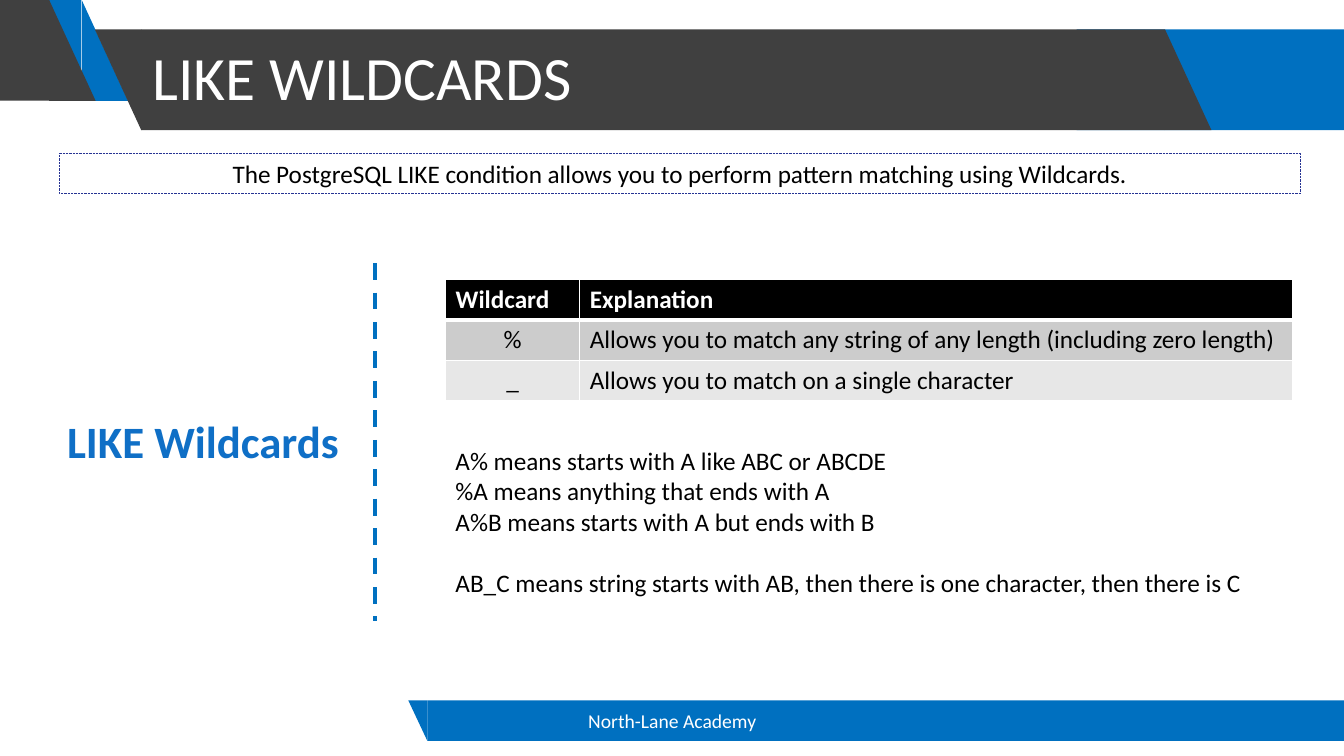
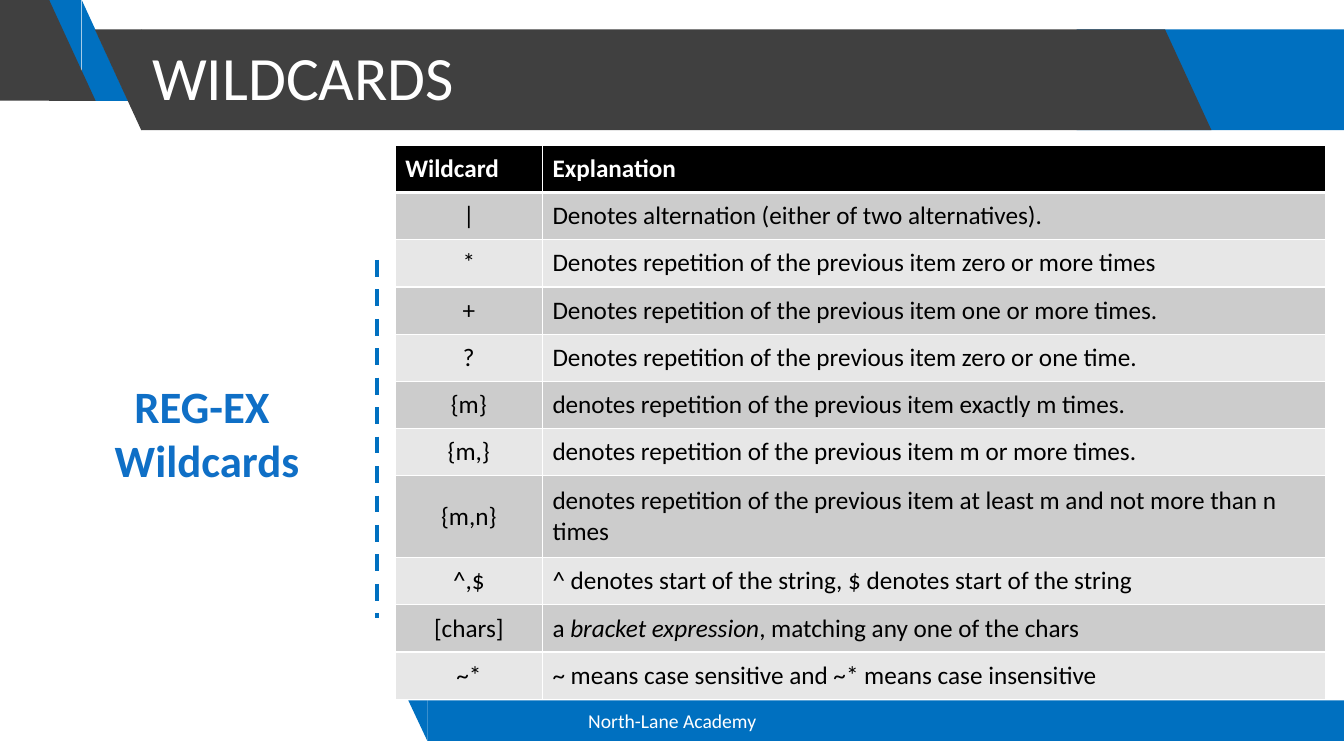
"""Build two slides about SQL wildcards."""
from dataclasses import dataclass

from lxml.etree import SubElement
from pptx import Presentation
from pptx.dml.color import RGBColor
from pptx.enum.dml import MSO_LINE
from pptx.enum.shapes import MSO_CONNECTOR, MSO_SHAPE
from pptx.enum.text import MSO_ANCHOR, MSO_AUTO_SIZE, PP_ALIGN
from pptx.oxml.ns import qn
from pptx.util import Cm, Pt


@dataclass(frozen=True)
class Theme:
    font: str = "Calibri"
    blue: str = "0070C0"
    dark: str = "404040"
    heading: str = "0F6FC6"
    outline: str = "263393"
    black: str = "000000"
    white: str = "FFFFFF"
    bands: tuple = ("CCCCCC", "E7E7E7")
    title_size: int = 44
    heading_size: int = 32
    body_size: int = 18
    footer_size: int = 14


SLIDE_WIDTH, SLIDE_HEIGHT = 33.87, 19.05
BAND_TOP, BAND_HEIGHT, SLANT = 0.74, 2.54, 1.17
FOOTER_TOP, FOOTER_HEIGHT = 17.65, 1.02
HEADER = ("Wildcard", "Explanation")

LIKE_ROWS = [
    ("%", "Allows you to match any string of any length (including zero length)"),
    ("_", "Allows you to match on a single character"),
]
LIKE_EXAMPLES = [
    "A% means starts with A like ABC or ABCDE",
    "%A means anything that ends with A",
    "A%B means starts with A but ends with B",
    "AB_C means string starts with AB, then there is one character, then there is C",
]
REGEX_ROWS = [
    ("|", "Denotes alternation (either of two alternatives)."),
    ("*", "Denotes repetition of the previous item zero or more times"),
    ("+", "Denotes repetition of the previous item one or more times."),
    ("?", "Denotes repetition of the previous item zero or one time."),
    ("{m}", "denotes repetition of the previous item exactly m times."),
    ("{m,}", "denotes repetition of the previous item m or more times."),
    ("{m,n}", "denotes repetition of the previous item at least m and not more than n times"),
    ("^,$", "^ denotes start of the string, $ denotes start of the string"),
    ("[chars]", ("a ", "bracket expression", ", matching any one of the chars")),
    ("~*", "~ means case sensitive and ~* means case insensitive"),
]


class Deck:
    """Hold the theme and the current slide, and draw each kind of element."""

    def __init__(self, theme):
        self.theme = theme
        self.presentation = Presentation()
        self.presentation.slide_width = Cm(SLIDE_WIDTH)
        self.presentation.slide_height = Cm(SLIDE_HEIGHT)
        self.layout = self.presentation.slide_layouts[5]
        self.slide = None

    def add_slide(self, title):
        """Start a slide with its title and footer label."""
        first = self.slide is None
        self.slide = self.presentation.slides.add_slide(self.layout)
        if first:
            self.frame()
        shape = self.slide.shapes.title
        shape.left, shape.top, shape.width, shape.height = map(Cm, (3.58, 0.18, 25.76, 3.68))
        self.set_text(shape.text_frame, [title], self.theme.title_size, self.theme.white,
                      anchor=MSO_ANCHOR.MIDDLE)
        shape.text_frame.auto_size = MSO_AUTO_SIZE.NONE
        shape.text_frame.paragraphs[0].line_spacing = 0.9
        self.text((11.23, FOOTER_TOP, 11.43, FOOTER_HEIGHT), ["North-Lane Academy"],
                  self.theme.footer_size, self.theme.white,
                  align=PP_ALIGN.CENTER, anchor=MSO_ANCHOR.MIDDLE)

    def frame(self):
        """Draw the title and footer bands once, on the layout."""
        blue, dark = self.theme.blue, self.theme.dark
        bar, slope = MSO_SHAPE.RECTANGLE, MSO_SHAPE.RIGHT_TRIANGLE
        pieces = [
            (bar, 27.13, BAND_TOP, SLIDE_WIDTH - 27.13, blue, 0),
            (slope, 2.06, 0, SLANT, blue, 0),
            (slope, 0.87, 0, SLANT, blue, 180),
            (bar, 0, 0, 1.24, dark, 0),
            (slope, 1.24, 0, SLANT, dark, 0),
            (slope, 2.39, BAND_TOP, SLANT, dark, 180),
            (bar, 3.56, BAND_TOP, 25.8, dark, 0),
            (slope, 29.36, BAND_TOP, SLANT, dark, 0),
            (bar, 10.77, FOOTER_TOP, SLIDE_WIDTH - 10.77, blue, 0),
            (slope, 10.29, FOOTER_TOP, 0.48, blue, 180),
        ]
        for kind, left, top, width, color, rotation in pieces:
            height = FOOTER_HEIGHT if top == FOOTER_TOP else BAND_HEIGHT
            shape = self.shape(kind, (left, top, width, height), color)
            shape.rotation = rotation
            self.layout.shapes.element.append(shape.element)

    def shape(self, kind, box, fill=None):
        """Add a preset shape without outline or shadow."""
        shape = self.slide.shapes.add_shape(kind, *map(Cm, box))
        shape.shadow.inherit = False
        shape.line.fill.background()
        if fill:
            shape.fill.solid()
            shape.fill.fore_color.rgb = RGBColor.from_string(fill)
        else:
            shape.fill.background()
        return shape

    def set_text(self, frame, lines, size, color, bold=False, align=PP_ALIGN.LEFT,
                 anchor=MSO_ANCHOR.TOP):
        """Fill a text frame; odd parts of a tuple line are italic."""
        frame.word_wrap = True
        frame.vertical_anchor = anchor
        for index, line in enumerate(lines):
            paragraph = frame.add_paragraph() if index else frame.paragraphs[0]
            paragraph.alignment = align
            parts = (line,) if isinstance(line, str) else line
            for position, part in enumerate(parts):
                run = paragraph.add_run()
                run.text = part
                run.font.name = self.theme.font
                run.font.size = Pt(size)
                run.font.bold = bold
                run.font.italic = position % 2 == 1
                run.font.color.rgb = RGBColor.from_string(color)

    def text(self, box, lines, size, color, **style):
        """Add a text box and return its frame."""
        frame = self.slide.shapes.add_textbox(*map(Cm, box)).text_frame
        self.set_text(frame, lines, size, color, **style)
        return frame

    def callout(self, box, line):
        """Add a dotted box with a centred statement."""
        shape = self.shape(MSO_SHAPE.RECTANGLE, box)
        shape.line.color.rgb = RGBColor.from_string(self.theme.outline)
        shape.line.width = Pt(0.5)
        shape.line.dash_style = MSO_LINE.ROUND_DOT
        self.set_text(shape.text_frame, [line], self.theme.body_size, self.theme.black,
                      align=PP_ALIGN.CENTER)

    def heading(self, box, lines):
        """Add the bold side heading."""
        self.text(box, lines, self.theme.heading_size, self.theme.heading, bold=True,
                  align=PP_ALIGN.CENTER)

    def divider(self, left, top, height):
        """Add a dashed vertical line."""
        line = self.slide.shapes.add_connector(
            MSO_CONNECTOR.STRAIGHT, Cm(left), Cm(top), Cm(left), Cm(top + height))
        line.line.color.rgb = RGBColor.from_string(self.theme.blue)
        line.line.width = Pt(3)
        line.line.dash_style = MSO_LINE.DASH
        SubElement(line.element.spPr, qn("a:effectLst"))

    def borders(self, cell, top, bottom):
        """Give a cell white borders, with top and bottom widths in points."""
        properties = cell._tc.get_or_add_tcPr()
        for side, width in (("L", 1), ("R", 1), ("T", top), ("B", bottom)):
            line = SubElement(properties, qn(f"a:ln{side}"), w=str(Pt(width)))
            fill = SubElement(line, qn("a:solidFill"))
            SubElement(fill, qn("a:srgbClr"), val=self.theme.white)

    def table(self, left, top, widths, heights, rows):
        """Add a table with a black header and banded rows."""
        rows = [HEADER, *rows]
        table = self.slide.shapes.add_table(
            len(rows), len(widths), Cm(left), Cm(top),
            Cm(sum(widths)), Cm(sum(heights))).table
        table.horz_banding = False
        for column, width in zip(table.columns, widths):
            column.width = Cm(width)
        for row_index, (row, height, values) in enumerate(zip(table.rows, heights, rows)):
            row.height = Cm(height)
            header = row_index == 0
            fill = self.theme.black if header else self.theme.bands[(row_index - 1) % 2]
            color = self.theme.white if header else self.theme.black
            for column_index, (cell, value) in enumerate(zip(row.cells, values)):
                self.borders(cell, 3 if row_index == 1 else 1, 3 if header else 1)
                cell.fill.solid()
                cell.fill.fore_color.rgb = RGBColor.from_string(fill)
                centred = column_index == 0 and not header
                self.set_text(cell.text_frame, [value], self.theme.body_size, color,
                              bold=header,
                              align=PP_ALIGN.CENTER if centred else PP_ALIGN.LEFT)
                cell.vertical_anchor = MSO_ANCHOR.MIDDLE


def main():
    theme = Theme()
    deck = Deck(theme)

    deck.add_slide("LIKE WILDCARDS")
    deck.callout((1.5, 3.86, 31.27, 1.02),
                 "The PostgreSQL LIKE condition allows you to perform pattern matching "
                 "using Wildcards.")
    deck.divider(9.45, 6.63, 9.02)
    deck.heading((0.79, 10.31, 8.66, 1.62), ["LIKE Wildcards"])
    examples = deck.text((11.23, 11.1, 20.98, 4.11), LIKE_EXAMPLES, theme.body_size, theme.black)
    examples.paragraphs[-1].space_before = Pt(22)
    deck.table(11.23, 7.04, (3.38, 17.96), [1.02] * 3, LIKE_ROWS)

    deck.add_slide("WILDCARDS")
    deck.divider(9.5, 6.55, 9.02)
    deck.heading((0.89, 9.42, 8.66, 3), ["REG-EX ", "Wildcards"])
    heights = [1.19] * 7 + [2.06] + [1.19] * 3
    deck.table(9.96, 3.66, (3.71, 19.74), heights, REGEX_ROWS)

    deck.presentation.save("out.pptx")


if __name__ == "__main__":
    main()
